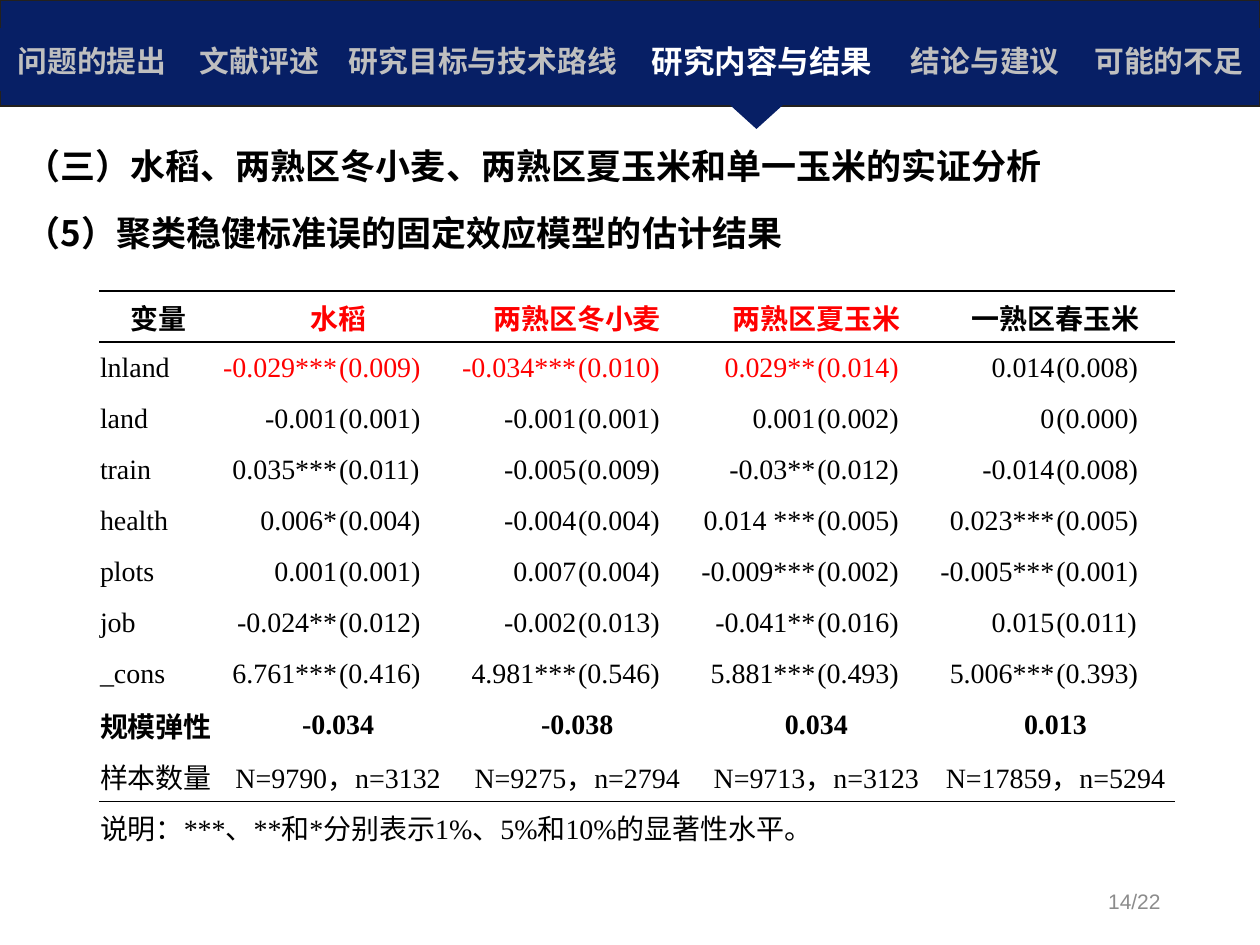
from dataclasses import dataclass
from typing import Any

from lxml import etree
from pptx import Presentation
from pptx.dml.color import RGBColor
from pptx.enum.shapes import MSO_SHAPE
from pptx.enum.text import MSO_ANCHOR, PP_ALIGN
from pptx.oxml.ns import qn
from pptx.util import Emu, Pt

LEFT, CENTER, RIGHT = PP_ALIGN.LEFT, PP_ALIGN.CENTER, PP_ALIGN.RIGHT
JUSTIFY = PP_ALIGN.JUSTIFY
MIDDLE = MSO_ANCHOR.MIDDLE
RECTANGLE, MERGE = MSO_SHAPE.RECTANGLE, MSO_SHAPE.FLOWCHART_MERGE

EMU_PER_PX = 914400 // 126
NAVY, BLACK, RED = "071F65", "000000", "FF0000"
WHITE, SILVER, GRAY = "FFFFFF", "BFBFBF", "8C8C8C"
CJK, SERIF, SANS = "Noto Sans CJK SC", "Times New Roman", "Arial"


@dataclass(frozen=True)
class Style:
    name: str
    size: int
    color: str = BLACK
    bold: bool = False
    align: Any = LEFT


@dataclass(frozen=True)
class Tab:
    label: str
    width: int
    active: bool = False


TABS = [
    Tab("问题的提出", 184),
    Tab("文献评述", 151),
    Tab("研究目标与技术路线", 296),
    Tab("研究内容与结果", 262, True),
    Tab("结论与建议", 185),
    Tab("可能的不足", 182),
]
HEADINGS = [
    "（三）水稻、两熟区冬小麦、两熟区夏玉米和单一玉米的实证分析",
    "（5）聚类稳健标准误的固定效应模型的估计结果",
]
CROPS = ["变量", "水稻", "两熟区冬小麦", "两熟区夏玉米", "一熟区春玉米"]
ESTIMATES = [
    ["lnland", "-0.029***", "(0.009)", "-0.034***", "(0.010)", "0.029**", "(0.014)", "0.014", "(0.008)"],
    ["land", "-0.001", "(0.001)", "-0.001", "(0.001)", "0.001", "(0.002)", "0", "(0.000)"],
    ["train", "0.035***", "(0.011)", "-0.005", "(0.009)", "-0.03**", "(0.012)", "-0.014", "(0.008)"],
    ["health", "0.006*", "(0.004)", "-0.004", "(0.004)", "0.014 ***", "(0.005)", "0.023***", "(0.005)"],
    ["plots", "0.001", "(0.001)", "0.007", "(0.004)", "-0.009***", "(0.002)", "-0.005***", "(0.001)"],
    ["job", "-0.024**", "(0.012)", "-0.002", "(0.013)", "-0.041**", "(0.016)", "0.015", "(0.011)"],
    ["_cons", "6.761***", "(0.416)", "4.981***", "(0.546)", "5.881***", "(0.493)", "5.006***", "(0.393)"],
]
ELASTICITY = ["规模弹性", "-0.034", "-0.038", "0.034", "0.013"]
SAMPLES = ["样本数量", "N=9790，n=3132", "N=9275，n=2794", "N=9713，n=3123", "N=17859，n=5294"]
NOTE = "说明：***、**和*分别表示1%、5%和10%的显著性水平。"
COLUMNS = 9
RULED_ROWS = {0: ("T", "B"), 1: ("T",), 9: ("B",), 10: ("T",)}


def px(length: int) -> Emu:
    return Emu(length * EMU_PER_PX)


def rgb(color: str) -> RGBColor:
    return RGBColor.from_string(color)


def apply(target: Any, values: dict[str, Any]) -> None:
    for name, value in values.items():
        setattr(target, name, value)


def write(para: Any, text: str, style: Style) -> None:
    para.alignment = style.align
    span = para.add_run()
    span.text = text
    apply(span.font, {"name": style.name, "size": Pt(style.size), "bold": style.bold})
    span.font.color.rgb = rgb(style.color)
    east_asian = etree.SubElement(span.font._element, qn("a:ea"))
    east_asian.set("typeface", CJK)


def add_box(page: Any, left: int, top: int, width: int, height: int) -> Any:
    box = page.shapes.add_textbox(px(left), px(top), px(width), px(height))
    box.text_frame.word_wrap = True
    return box.text_frame


def add_block(page: Any, kind: Any, left: int, top: int, width: int, height: int) -> Any:
    block = page.shapes.add_shape(kind, px(left), px(top), px(width), px(height))
    block.shadow.inherit = False
    block.fill.solid()
    block.fill.fore_color.rgb = rgb(NAVY)
    block.line.fill.background()
    return block


def add_grid(page: Any, rows: int, columns: int, left: int, top: int, width: int, height: int) -> Any:
    grid = page.shapes.add_table(rows, columns, px(left), px(top), px(width), px(height)).table
    apply(grid, {"first_row": False, "horz_banding": False})
    return grid


def set_borders(cell: Any, ruled: tuple[str, ...] = ()) -> None:
    properties = cell._tc.get_or_add_tcPr()
    for index, side in enumerate("LRTB"):
        line = etree.Element(qn(f"a:ln{side}"), w=str(Pt(1)))
        if side in ruled:
            fill = etree.SubElement(line, qn("a:solidFill"))
            etree.SubElement(fill, qn("a:srgbClr"), val=BLACK)
        else:
            etree.SubElement(line, qn("a:noFill"))
        properties.insert(index, line)


def draw_headings(page: Any) -> None:
    frame = add_box(page, 13, 145, 1247, 257)
    style = Style(CJK, 20, bold=True)
    formats = [
        {"line_spacing": 0.85, "space_after": Pt(12)},
        {"line_spacing": 0.85, "space_before": Pt(6), "space_after": Pt(6)},
    ]
    for index, (text, values) in enumerate(zip(HEADINGS, formats)):
        para = frame.add_paragraph() if index else frame.paragraphs[0]
        apply(para, values)
        write(para, text, style)


def draw_results(page: Any) -> None:
    rows = len(ESTIMATES) + 4
    grid = add_grid(page, rows, COLUMNS, 99, 291, 1076, 562)
    for row in range(rows):
        for column in range(COLUMNS):
            cell = grid.cell(row, column)
            apply(cell, {"margin_left": px(1), "margin_right": px(1), "margin_top": px(1),
                         "margin_bottom": 0, "vertical_anchor": MIDDLE})
            cell.fill.background()
            set_borders(cell, RULED_ROWS.get(row, ()))

    def put(row: int, column: int, text: str, **values: Any) -> None:
        write(grid.cell(row, column).text_frame.paragraphs[0], text, Style(SERIF, 16, **values))

    def put_pairs(row: int, texts: list[str], first_align: Any, bold: bool, red: tuple[int, ...] = ()) -> None:
        put(row, 0, texts[0], bold=bold, align=first_align)
        for index, text in enumerate(texts[1:], 1):
            column = 2 * index - 1
            grid.cell(row, column).merge(grid.cell(row, column + 1))
            put(row, column, text, bold=bold, align=CENTER, color=RED if index in red else BLACK)

    put_pairs(0, CROPS, CENTER, True, (1, 2, 3))
    for row, texts in enumerate(ESTIMATES, 1):
        for column, text in enumerate(texts):
            color = RED if row == 1 and 1 <= column <= 6 else BLACK
            put(row, column, text, color=color, align=RIGHT if column % 2 else LEFT)
    put_pairs(rows - 3, ELASTICITY, JUSTIFY, True)
    put_pairs(rows - 2, SAMPLES, JUSTIFY, False)
    grid.cell(rows - 1, 0).merge(grid.cell(rows - 1, COLUMNS - 1))
    put(rows - 1, 0, NOTE)


def draw_page_number(page: Any) -> None:
    frame = add_box(page, 890, 876, 283, 50)
    frame.vertical_anchor = MIDDLE
    write(frame.paragraphs[0], "14/22", Style(SANS, 12, GRAY, align=RIGHT))


def draw_navigation(page: Any) -> None:
    band = add_block(page, RECTANGLE, 0, 0, 1260, 106)
    band.line.color.rgb = rgb("24211D")
    band.line.width = 0
    grid = add_grid(page, 1, len(TABS), 0, 28, 1260, 63)
    for column, tab in enumerate(TABS):
        grid.columns[column].width = px(tab.width)
        cell = grid.cell(0, column)
        cell.vertical_anchor = MIDDLE
        cell.fill.solid()
        cell.fill.fore_color.rgb = rgb(NAVY)
        set_borders(cell)
        size, color = (18, WHITE) if tab.active else (17, SILVER)
        write(cell.text_frame.paragraphs[0], tab.label, Style(SANS, size, color, True, CENTER))
    add_block(page, MERGE, 730, 105, 53, 24)


def main() -> None:
    deck = Presentation()
    apply(deck, {"slide_width": px(1260), "slide_height": px(945)})
    page = deck.slides.add_slide(deck.slide_layouts[6])
    draw_headings(page)
    draw_results(page)
    draw_page_number(page)
    draw_navigation(page)
    deck.save("out.pptx")


if __name__ == "__main__":
    main()
